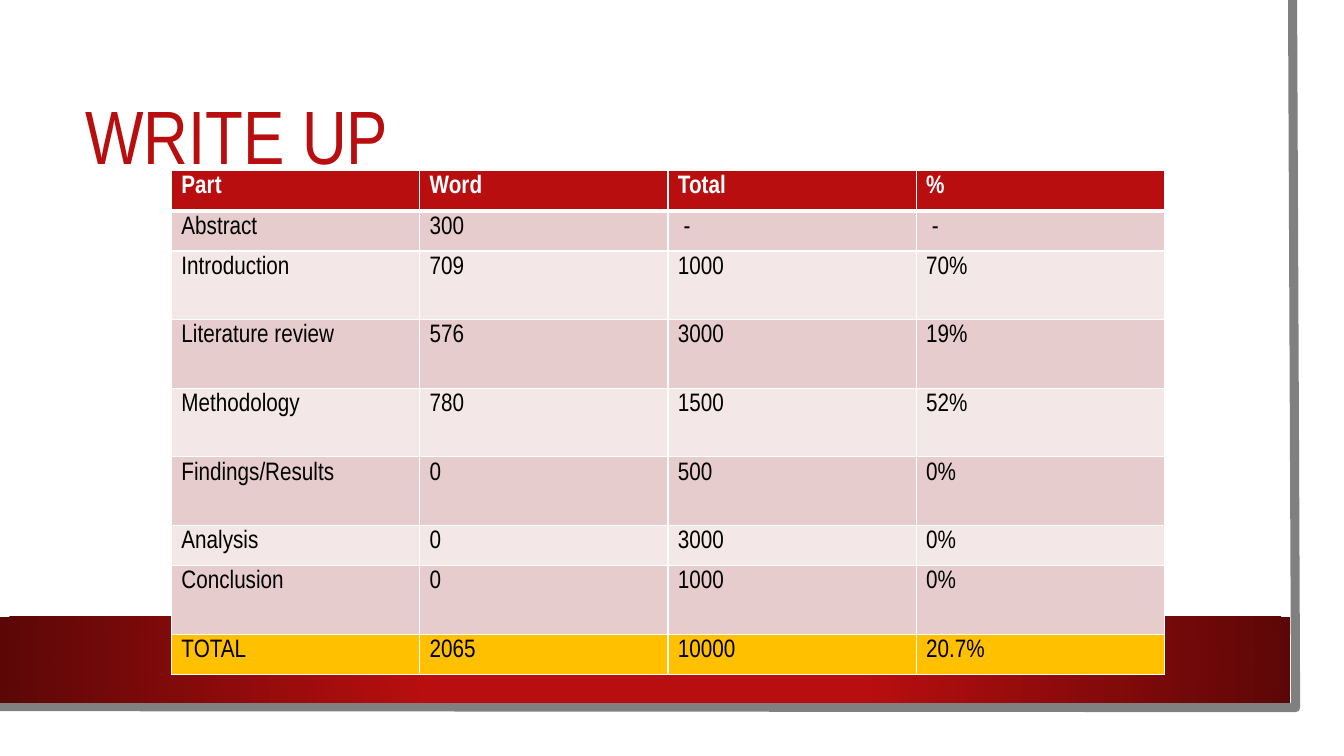
from lxml import etree
from pptx import Presentation
from pptx.dml.color import RGBColor as Rgb
from pptx.enum.shapes import MSO_SHAPE as Shape
from pptx.enum.text import MSO_ANCHOR as Anchor
from pptx.oxml import parse_xml
from pptx.oxml.ns import nsdecls, qn
from pptx.util import Inches, Pt

COLORS = {
    "red": "B80E0F", "dark_red": "5C0707", "gray": "808080", "white": "FFFFFF",
    "black": "000000", "rose": "E6CCCC", "pale_rose": "F3E7E7", "gold": "FFC000",
}
HEADER = ("Part", "Word", "Total", "%")
PARTS = [
    ("Abstract", "300", " -", " -"),
    ("Introduction", "709", "1000", "70%"),
    ("Literature review", "576", "3000", "19%"),
    ("Methodology", "780", "1500", "52%"),
    ("Findings/Results", "0", "500", "0%"),
    ("Analysis", "0", "3000", "0%"),
    ("Conclusion", "0", "1000", "0%"),
]
TOTAL = ("TOTAL", "2065", "10000", "20.7%")
LOW, HIGH = 0.4, 0.68
ROW_HEIGHTS = [LOW, LOW, HIGH, HIGH, HIGH, HIGH, LOW, HIGH, LOW]


class SlideBuilder:
    font = "Arial Narrow"

    def __init__(self, slide):
        self.slide = slide
        self.shapes = slide.shapes

    def color(self, name):
        return Rgb.from_string(COLORS[name])

    def style(self, paragraph, size, color, bold=False):
        for span in paragraph.runs:
            span.font.name = self.font
            span.font.size = Pt(size)
            span.font.bold = bold
            span.font.color.rgb = self.color(color)

    def rectangle(self, left, top, width, height, fill):
        box = self.shapes.add_shape(
            Shape.RECTANGLE, Inches(left), Inches(top), Inches(width), Inches(height))
        box.shadow.inherit = False
        box.line.fill.background()
        box.fill.solid()
        box.fill.fore_color.rgb = self.color(fill)
        return box

    def radial_band(self, left, top, width, height, stops):
        band = self.rectangle(left, top, width, height, stops[0][1])
        marks = "".join(
            f'<a:gs pos="{position * 1000}"><a:srgbClr val="{COLORS[name]}"/></a:gs>'
            for position, name in stops)
        gradient = parse_xml(
            f'<a:gradFill {nsdecls("a")} rotWithShape="1"><a:gsLst>{marks}</a:gsLst>'
            '<a:path path="circle"><a:fillToRect l="50000" t="50000" r="50000" b="50000"/>'
            '</a:path></a:gradFill>')
        properties = band.element.spPr
        properties.replace(properties.find(qn("a:solidFill")), gradient)

    def outline(self, points, color, width):
        start, *rest = [(Inches(x), Inches(y)) for x, y in points]
        builder = self.shapes.build_freeform(*start)
        builder.add_line_segments(rest, close=False)
        edge = builder.convert_to_shape()
        edge.shadow.inherit = False
        edge.fill.background()
        edge.line.color.rgb = self.color(color)
        edge.line.width = Pt(width)

    def title(self, left, top, width, height, text):
        box = self.shapes.add_textbox(
            Inches(left), Inches(top), Inches(width), Inches(height))
        frame = box.text_frame
        frame.word_wrap = True
        frame.vertical_anchor = Anchor.MIDDLE
        frame.text = text
        para = frame.paragraphs[0]
        para.line_spacing = 0.9
        self.style(para, 54, "red")

    def borders(self, cell, **widths):
        properties = cell._tc.get_or_add_tcPr()
        for side in "LRTB":
            line = etree.SubElement(
                properties, qn(f"a:ln{side}"), w=str(Pt(widths.get(side, 1))))
            fill = etree.SubElement(line, qn("a:solidFill"))
            etree.SubElement(fill, qn("a:srgbClr"), val=COLORS["white"])

    def table(self, left, top, width, rows, heights):
        columns = len(rows[0])
        grid = self.shapes.add_table(
            len(rows), columns, Inches(left), Inches(top),
            Inches(width), Inches(sum(heights))).table
        grid.first_row = grid.horz_banding = False
        for column in grid.columns:
            column.width = Inches(width / columns)
        for index, (values, height) in enumerate(zip(rows, heights)):
            grid.rows[index].height = Inches(height)
            is_header = index == 0
            if is_header:
                fill = "red"
            elif index == len(rows) - 1:
                fill = "gold"
            else:
                fill = "rose" if index % 2 else "pale_rose"
            for cell, value in zip(grid.rows[index].cells, values):
                self.borders(cell, T=3 if index == 1 else 1, B=3 if is_header else 1)
                cell.fill.solid()
                cell.fill.fore_color.rgb = self.color(fill)
                cell.text_frame.text = value
                self.style(cell.text_frame.paragraphs[0], 18,
                           "white" if is_header else "black", is_header)


def main():
    deck = Presentation()
    deck.slide_width, deck.slide_height = Inches(13.33), Inches(7.5)
    page = SlideBuilder(deck.slides.add_slide(deck.slide_layouts[6]))
    page.rectangle(0, 0, 13.1, 7.27, "white")
    page.outline([(12.82, 0), (12.85, 7.02), (-0.03, 7.01)], "gray", 6.5)
    page.radial_band(0, 6.12, 12.8, 0.85, [(34, "red"), (100, "dark_red")])
    page.title(0.75, 0.75, 11.37, 1.27, "WRITE UP")
    page.table(1.7, 1.69, 9.85, [HEADER, *PARTS, TOTAL], ROW_HEIGHTS)
    deck.save("out.pptx")


if __name__ == "__main__":
    main()
